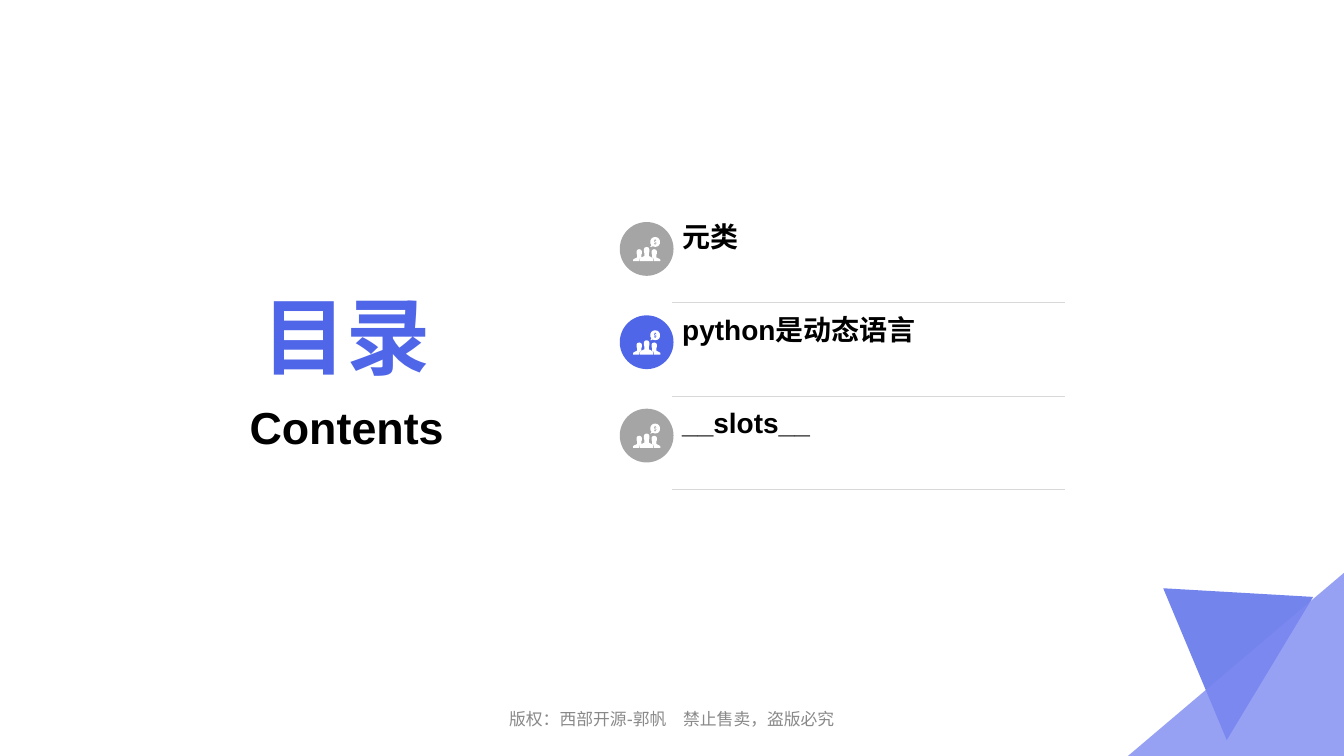
from dataclasses import dataclass

from lxml import etree
from pptx import Presentation
from pptx.dml.color import RGBColor
from pptx.enum import shapes, text
from pptx.oxml.ns import qn
from pptx.util import Pt

COLORS = {
    "blue": "5066E9",
    "lilac": "7E8AF1",
    "grey": "A5A5A5",
    "rule": "D8D8D8",
    "footer": "898989",
    "black": "000000",
    "white": "FFFFFF",
}
Point = tuple[float, float]

ROW_TOP, ROW_PITCH = 158.6, 66.65
DISC_LEFT, DISC_SIZE = 442.7, 38.4
LABEL_LEFT, RULE_RIGHT = 480.2, 761


@dataclass(frozen=True)
class Caption:
    wording: str
    left: float
    top: float
    width: float
    height: float
    size: float
    color: str = "black"
    font: str = "Arial"
    bold: bool = True
    align: text.PP_ALIGN = text.PP_ALIGN.CENTER
    anchor: text.MSO_ANCHOR = text.MSO_ANCHOR.MIDDLE
    bottom_inset: float = 3.6
    line_spacing: float = 1.0


@dataclass(frozen=True)
class Chapter:
    title: str
    disc_color: str


@dataclass(frozen=True)
class Triangle:
    corners: list[Point]
    color: str


CHAPTERS = [
    Chapter("元类", "grey"),
    Chapter("python是动态语言", "blue"),
    Chapter("__slots__", "grey"),
]
TRIANGLES = [
    Triangle([(938, 426.4), (876.3, 528.7), (830.9, 420.2)], "blue"),
    Triangle([(960, 540), (805.7, 540), (960, 409.2)], "lilac"),
]
CAPTIONS = [
    Caption("目录", 150.5, 188.6, 194.4, 90, 60, "blue", anchor=text.MSO_ANCHOR.BOTTOM),
    Caption("Contents", 150.5, 282.2, 194.4, 39.6, 32, anchor=text.MSO_ANCHOR.TOP),
]
FOOTER = Caption("版权：西部开源-郭帆　禁止售卖，盗版必究", 324, 499.7, 311.8, 25.2, 12,
                 "footer", "DejaVu Sans", bold=False, line_spacing=1.2)

# Outlines of the people icon, each around its own anchor point
CENTRE_HALF = [(0.3, 0), (1.4, 0.4), (1.9, 1.5), (1.9, 3.6), (1.6, 4.4), (1.6, 6.4),
               (3.2, 7.2), (4.6, 8.2), (4.8, 8.8), (4.8, 10.1)]
SIDE_PERSON = [(0, 0), (1.4, 0.5), (1.9, 1.5), (1.9, 3.2), (1.5, 4), (1.5, 5.9),
               (0.7, 6.3), (0.1, 7.2), (0, 8.6), (-4.4, 8.6), (-4.4, 7.6), (-3.8, 7),
               (-1.5, 5.9), (-1.5, 4), (-1.9, 3.2), (-1.9, 1.5), (-1.4, 0.5)]
BUBBLE = [(0, -3.6), (1.5, -3.3), (2.7, -2.4), (3.4, -1), (3.4, 1), (2.7, 2.4),
          (1.5, 3.2), (0, 3.5), (-1.8, 3), (-2.6, 3.4), (-3.6, 3.5), (-2.9, 2.7),
          (-2.7, 2.2), (-3.4, 1), (-3.4, -1), (-2.7, -2.4), (-1.5, -3.3)]
DOLLAR = [(-0.3, -1.9), (0.3, -1.9), (0.3, -1.5), (1, -1.1), (0.7, -0.6), (0, -0.9),
          (-0.4, -0.5), (0.9, 0.3), (1, 0.9), (0.3, 1.5), (0.3, 1.9), (-0.3, 1.9),
          (-0.3, 1.5), (-1, 1.2), (-0.8, 0.7), (0, 0.9), (0.4, 0.6), (-0.9, -0.2),
          (-1, -0.9), (-0.3, -1.4)]


def rgb(name: str) -> RGBColor:
    return RGBColor.from_string(COLORS[name])


def mirror(outline: list[Point]) -> list[Point]:
    return [(-x, y) for x, y in reversed(outline)]


def shift(outline: list[Point], left: float, top: float) -> list[Point]:
    return [(left + x, top + y) for x, y in outline]


def paint(shape, color: str) -> None:
    shape.shadow.inherit = False
    shape.fill.solid()
    shape.fill.fore_color.rgb = rgb(color)
    shape.line.fill.background()


def add_outlines(slide, outlines: list[list[Point]], color: str):
    """Draw closed outlines as one shape; an inner outline makes a hole."""
    contours = [[(Pt(x), Pt(y)) for x, y in outline] for outline in outlines]
    builder = slide.shapes.build_freeform(*contours[0][0], scale=1.0)
    for index, contour in enumerate(contours):
        if index:
            builder.move_to(*contour[0])
        builder.add_line_segments(contour[1:], close=True)
    shape = builder.convert_to_shape()
    paint(shape, color)
    return shape


def add_triangle(slide, triangle: Triangle) -> None:
    shape = add_outlines(slide, [triangle.corners], triangle.color)
    fill_color = shape.fill._xPr.find(f"{qn('a:solidFill')}/{qn('a:srgbClr')}")
    etree.SubElement(fill_color, qn("a:alpha"), val="80000")


def add_caption(slide, caption: Caption) -> None:
    box = slide.shapes.add_textbox(Pt(caption.left), Pt(caption.top),
                                   Pt(caption.width), Pt(caption.height))
    frame = box.text_frame
    frame.word_wrap = True
    frame.vertical_anchor = caption.anchor
    frame.margin_bottom = Pt(caption.bottom_inset)
    paragraph = frame.paragraphs[0]
    paragraph.alignment = caption.align
    paragraph.line_spacing = caption.line_spacing
    run = paragraph.add_run()
    run.text = caption.wording
    run.font.name = caption.font
    run.font.size = Pt(caption.size)
    run.font.bold = caption.bold
    run.font.color.rgb = rgb(caption.color)


def add_people_icon(slide, left: float, top: float) -> None:
    outlines = [
        shift(SIDE_PERSON, left + 13.9, top + 19.4),
        shift(mirror(SIDE_PERSON), left + 24.6, top + 19.4),
        shift(CENTRE_HALF + mirror(CENTRE_HALF), left + 19.2, top + 17.9),
        shift(BUBBLE, left + 25.3, top + 14.3),
        shift(DOLLAR, left + 25.3, top + 14.3),
    ]
    add_outlines(slide, outlines, "white")


def add_rule(slide, y: float) -> None:
    rule = slide.shapes.add_connector(shapes.MSO_CONNECTOR.STRAIGHT, Pt(LABEL_LEFT), Pt(y),
                                      Pt(RULE_RIGHT), Pt(y))
    rule.line.color.rgb = rgb("rule")
    rule.line.width = Pt(0.25)
    etree.SubElement(rule._element.spPr, qn("a:effectLst"))


def add_chapter(slide, chapter: Chapter, top: float) -> None:
    disc = slide.shapes.add_shape(shapes.MSO_SHAPE.OVAL, Pt(DISC_LEFT), Pt(top),
                                  Pt(DISC_SIZE), Pt(DISC_SIZE))
    paint(disc, chapter.disc_color)
    add_people_icon(slide, DISC_LEFT, top)
    add_caption(slide, Caption(chapter.title, LABEL_LEFT, top - 6.8, 281.5, 30.2, 20,
                               align=text.PP_ALIGN.LEFT, bottom_inset=0))
    add_rule(slide, top + 57.4)


def main() -> None:
    presentation = Presentation()
    presentation.slide_width, presentation.slide_height = Pt(960), Pt(540)
    slide = presentation.slides.add_slide(presentation.slide_layouts[6])
    add_caption(slide, FOOTER)
    for triangle in TRIANGLES:
        add_triangle(slide, triangle)
    for index, chapter in enumerate(CHAPTERS):
        add_chapter(slide, chapter, ROW_TOP + index * ROW_PITCH)
    for caption in CAPTIONS:
        add_caption(slide, caption)
    presentation.save("out.pptx")


if __name__ == "__main__":
    main()
